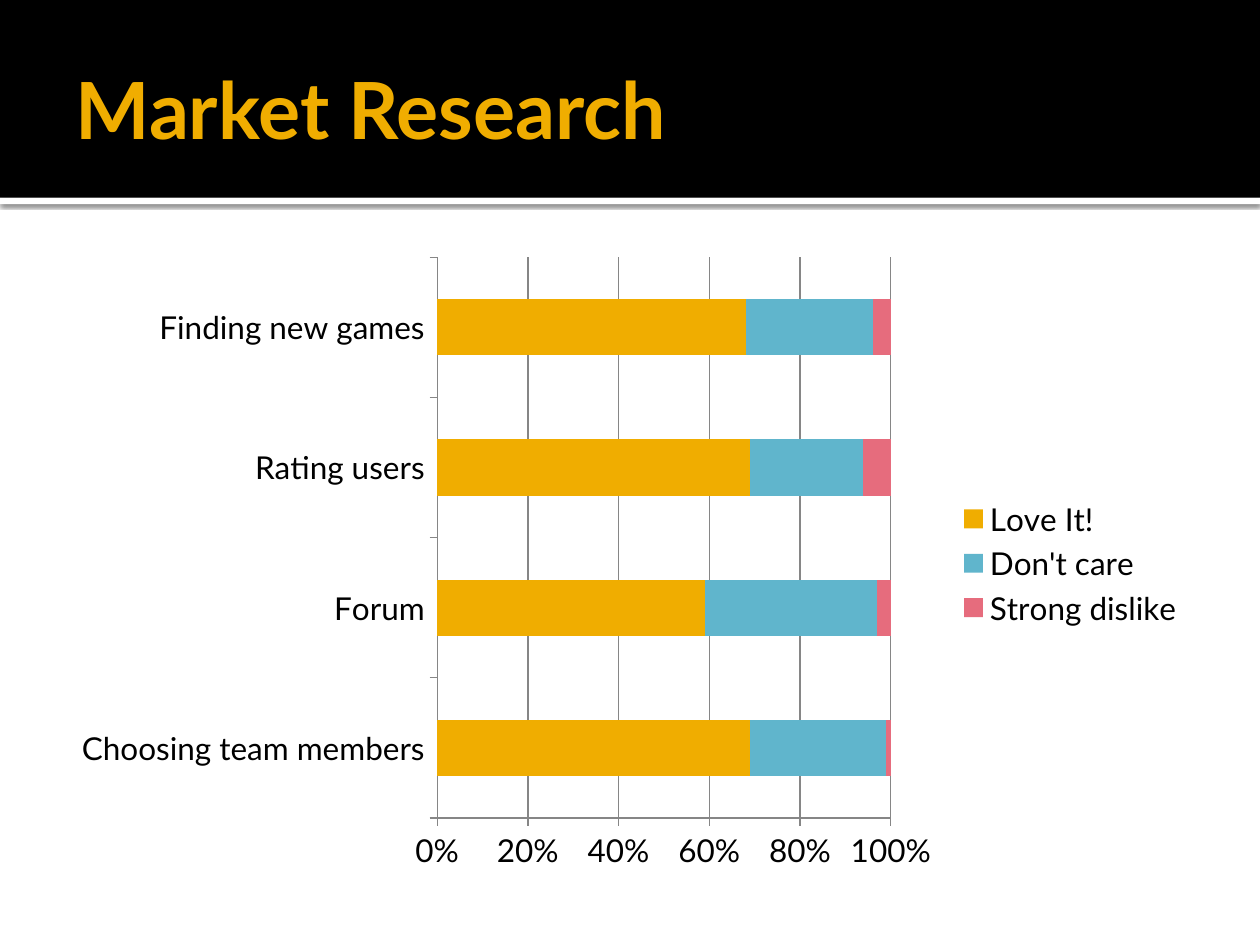
from lxml import etree
from pptx import Presentation
from pptx.chart.data import CategoryChartData
from pptx.dml.color import RGBColor
from pptx.enum.chart import XL_CHART_TYPE, XL_LEGEND_POSITION, XL_TICK_MARK
from pptx.enum.shapes import MSO_SHAPE
from pptx.enum.text import MSO_ANCHOR, PP_ALIGN
from pptx.oxml import parse_xml
from pptx.oxml.ns import nsdecls
from pptx.util import Inches, Pt

BLACK = RGBColor(0x00, 0x00, 0x00)
WHITE = RGBColor(0xFF, 0xFF, 0xFF)
GOLD = RGBColor(0xF0, 0xAD, 0x00)
BLUE = RGBColor(0x60, 0xB5, 0xCC)
PINK = RGBColor(0xE6, 0x6C, 0x7D)
GRAY = RGBColor(0x86, 0x86, 0x86)
FONT = "Lato"

prs = Presentation()
prs.slide_width, prs.slide_height = Inches(10), Inches(7.5)
s = prs.slides.add_slide(prs.slide_layouts[5])

# Header band and the white strip below it, both behind the title
bands = []
for top, height, color in [(1.57, 0.05, WHITE), (0, 1.57, BLACK)]:
    sp = s.shapes.add_shape(MSO_SHAPE.RECTANGLE, 0, Inches(top), Inches(10), Inches(height))
    sp.shadow.inherit = False
    sp.fill.solid()
    sp.fill.fore_color.rgb = color
    sp.line.fill.background()
    s.shapes._spTree.insert(2 + len(bands), sp._element)
    bands.append(sp)

# Soft shadow under the strip
effects = bands[0]._element.spPr.find("{*}effectLst")
effects.append(parse_xml(
    f'<a:outerShdw {nsdecls("a")} blurRad="{Pt(2.5)}" dist="{Pt(0.8)}" dir="5400000" '
    'algn="t" rotWithShape="0"><a:srgbClr val="000000"><a:alpha val="60000"/>'
    '</a:srgbClr></a:outerShdw>'))

# Title
title = s.shapes.title
title.left, title.top, title.width, title.height = map(Inches, (0.5, 0.17, 9, 1.37))
tf = title.text_frame
tf_format = {"vertical_anchor": MSO_ANCHOR.MIDDLE, "margin_left": Inches(0.1),
             "margin_top": Inches(0.05), "margin_right": Inches(0.05),
             "margin_bottom": Inches(0.05), "word_wrap": True}
for name, value in tf_format.items():
    setattr(tf, name, value)
p = tf.paragraphs[0]
p.alignment = PP_ALIGN.LEFT
r = p.add_run()
r.text = "Market Research"
for name, value in {"name": FONT, "size": Pt(45), "bold": True}.items():
    setattr(r.font, name, value)
r.font.color.rgb = GOLD

# Survey chart
answers = [
    ("Love It!", (69, 59, 69, 68), GOLD),
    ("Don't care", (30, 38, 25, 28), BLUE),
    ("Strong dislike", (1, 3, 6, 4), PINK),
]
data = CategoryChartData()
data.categories = ["Choosing team members", "Forum", "Rating users", "Finding new games"]
for name, values, _ in answers:
    data.add_series(name, values)
chart = s.shapes.add_chart(XL_CHART_TYPE.BAR_STACKED_100, Inches(0.5), Inches(1.94),
                           Inches(9), Inches(5.06), data).chart
chart.has_title = False
chart.font.name, chart.font.size = FONT, Pt(18)
chart.font.color.rgb = BLACK

plot = chart.plots[0]
plot.gap_width, plot.overlap, plot.vary_by_categories = 150, 100, False
for series, (_, _, color) in zip(plot.series, answers):
    series.format.fill.solid()
    series.format.fill.fore_color.rgb = color

# Axes, gridlines and legend
cat, val = chart.category_axis, chart.value_axis
cat.has_major_gridlines, val.has_major_gridlines = False, True
val.major_unit = 0.2
val.tick_labels.number_format = "0%"
val.tick_labels.number_format_is_linked = False
for axis in (cat, val):
    axis.major_tick_mark = XL_TICK_MARK.OUTSIDE
    axis.minor_tick_mark = XL_TICK_MARK.NONE
for part in (cat, val, val.major_gridlines):
    part.format.line.color.rgb = GRAY
    part.format.line.width = Pt(0.75)
chart.has_legend = True
chart.legend.position = XL_LEGEND_POSITION.RIGHT
chart.legend.include_in_layout = False

# Fixed plot area inside the axes, as fractions of the chart
layout = chart._chartSpace.chart.plotArea.get_or_add_layout() if hasattr(
    chart._chartSpace.chart.plotArea, "get_or_add_layout") else None
if layout is None:
    area = chart._chartSpace.chart.plotArea
    layout = area.find("{*}layout")
    if layout is None:
        layout = parse_xml(f'<c:layout {nsdecls("c")}/>')
        area.insert(0, layout)
C = "{http://schemas.openxmlformats.org/drawingml/2006/chart}"
manual = etree.SubElement(layout, C + "manualLayout")
for tag, value in [("layoutTarget", "inner"), ("xMode", "edge"), ("yMode", "edge"),
                   ("x", "0.33"), ("y", "0.02"), ("w", "0.4"), ("h", "0.88")]:
    etree.SubElement(manual, C + tag, val=value)

prs.save("out.pptx")
